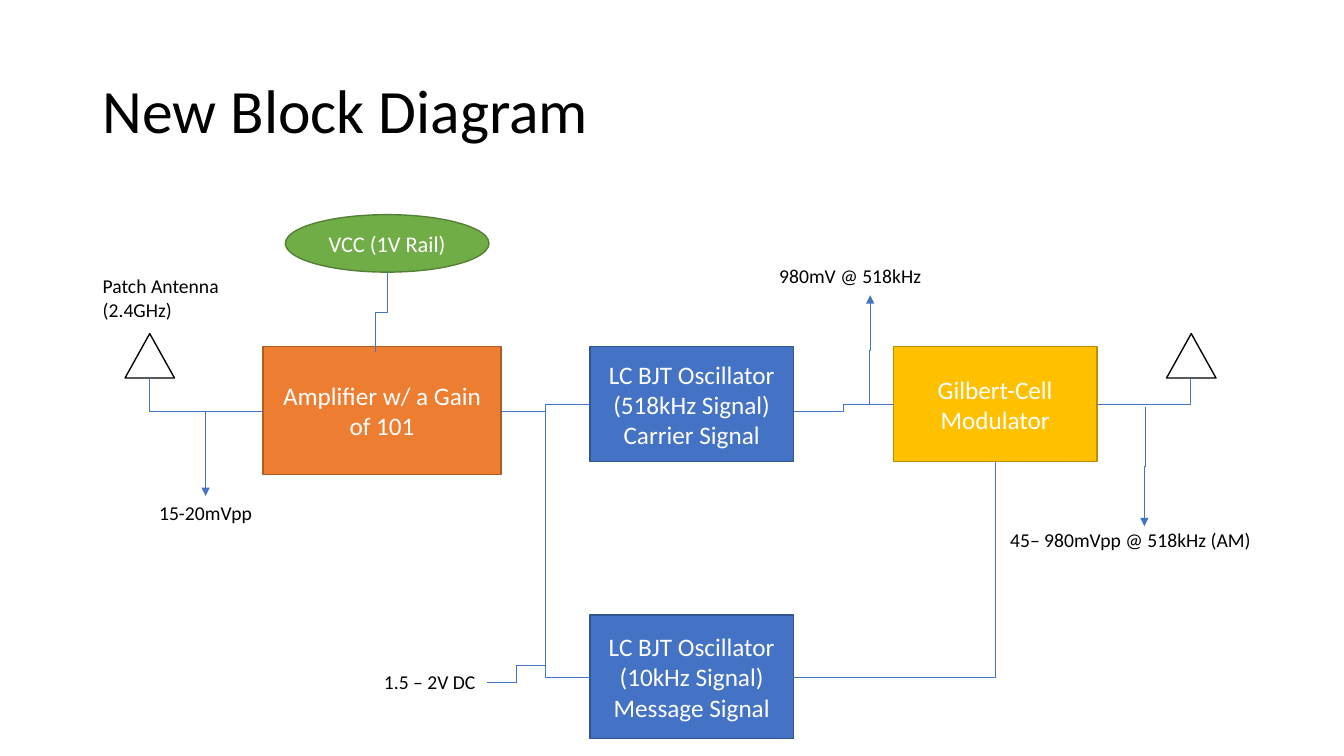
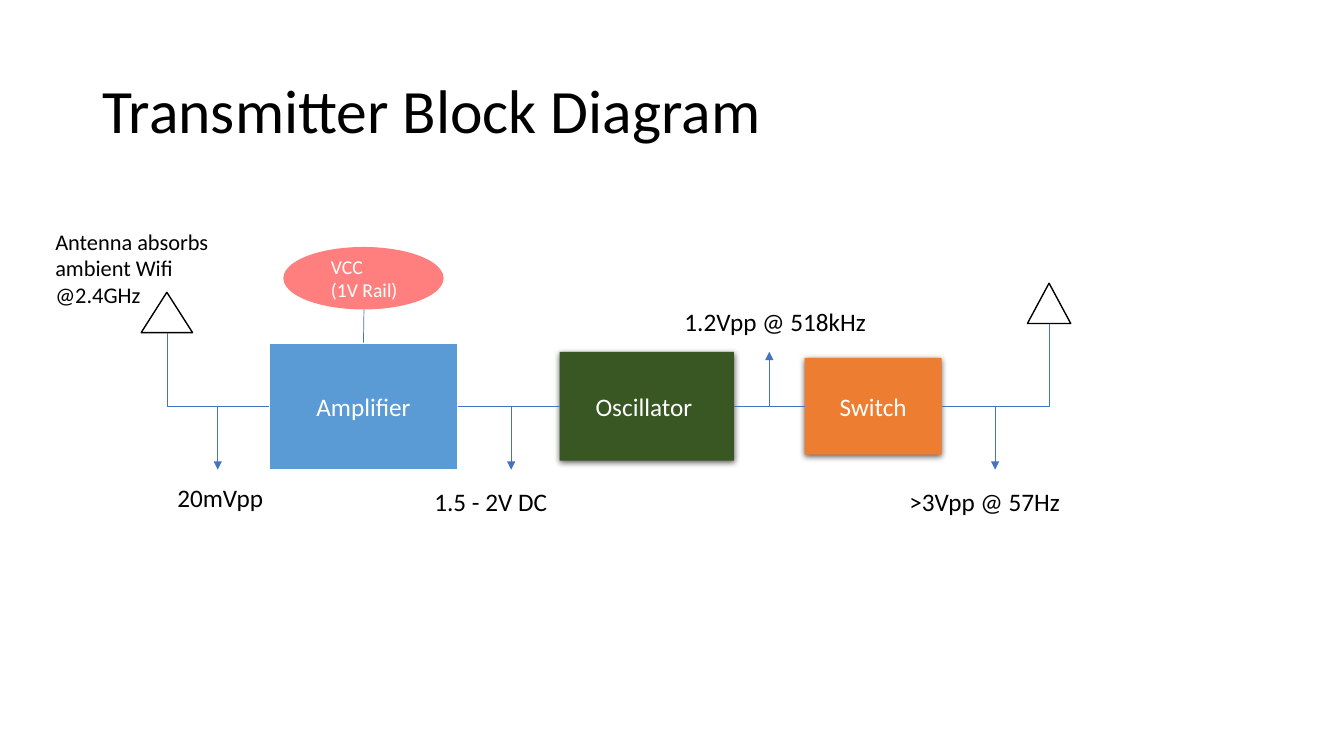
from lxml.etree import SubElement
from pptx import Presentation
from pptx.dml.color import RGBColor
from pptx.enum.shapes import MSO_CONNECTOR, MSO_SHAPE
from pptx.enum.text import MSO_ANCHOR, PP_ALIGN
from pptx.oxml.ns import qn
from pptx.util import Inches, Pt

# Shared look
THEME = {
    "black": "000000", "white": "FFFFFF", "blue": "4472C4", "navy": "325491",
    "orange": "ED7D31", "rust": "AF5C24", "gold": "FFC000", "ochre": "BD8E00",
    "green": "70AD47", "moss": "538035", "sky": "5B9BD5", "pine": "385723",
    "red": "FF0000", "font": "Calibri",
    "title": 44, "large": 18, "mid": 16, "small": 14,
    "edge": 1, "wire": 0.5,
}
TITLE = (0.92, 0.4, 11.5, 1.45)
RECT, OVAL, PEAK = MSO_SHAPE.RECTANGLE, MSO_SHAPE.OVAL, MSO_SHAPE.ISOSCELES_TRIANGLE


def put(slide, at, text="", size="large", form=None, fill=None, edge=None,
        width=THEME["edge"], **frame):
    """Add a filled shape, or a text box when no form is given."""
    spot = [Inches(v) for v in at]
    if form is None:
        shape = slide.shapes.add_textbox(*spot)
        ink, align = "black", PP_ALIGN.LEFT
    else:
        shape = slide.shapes.add_shape(form, *spot)
        shape.shadow.inherit = False
        shape.fill.solid()
        shape.fill.fore_color.rgb = RGBColor.from_string(THEME[fill])
        if edge:
            shape.line.color.rgb = RGBColor.from_string(THEME[edge])
            shape.line.width = Pt(width)
        else:
            shape.line.fill.background()
        ink, align = "white", PP_ALIGN.CENTER
    if not text:
        return shape
    align = frame.pop("align", align)
    body = shape.text_frame
    anchor = MSO_ANCHOR.MIDDLE if form else MSO_ANCHOR.TOP
    for name, value in ({"word_wrap": True, "vertical_anchor": anchor} | frame).items():
        setattr(body, name, value)
    body.text = text
    for para in body.paragraphs:
        para.alignment = align
        font = para.font
        look = {"name": THEME["font"], "size": Pt(THEME[size])}
        for name, value in look.items():
            setattr(font, name, value)
        font.color.rgb = RGBColor.from_string(THEME[ink])
    return shape


def wire(slide, start, end, kind="line", arrow=False):
    """Join two points: line, turn (across, then up or down), step or drop."""
    (x1, y1), (x2, y2) = start, end
    if kind == "drop":  # a step turned by 90 degrees about its centre
        cx, cy = (x1 + x2) / 2, (y1 + y2) / 2
        x1, y1, x2, y2 = cx + y1 - cy, cy - x1 + cx, cx + y2 - cy, cy - x2 + cx
    form = MSO_CONNECTOR.STRAIGHT if kind == "line" else MSO_CONNECTOR.ELBOW
    link = slide.shapes.add_connector(form, *[Inches(v) for v in (x1, y1, x2, y2)])
    link.line.color.rgb = RGBColor.from_string(THEME["blue"])
    link.line.width = Pt(THEME["wire"])
    props = link._element.spPr
    if kind == "turn":
        props.find(qn("a:prstGeom")).set("prst", "bentConnector2")
    if kind == "drop":
        props.find(qn("a:xfrm")).set("rot", "5400000")
    if arrow:
        SubElement(props.find(qn("a:ln")), qn("a:tailEnd"), type="triangle")
    SubElement(props, qn("a:effectLst"))
    return link


deck = Presentation()
deck.slide_width, deck.slide_height = Inches(13.33), Inches(7.5)
pages = []
for title in ("New Block Diagram", "Transmitter Block Diagram"):
    page = deck.slides.add_slide(deck.slide_layouts[6])
    head = put(page, TITLE, title, "title", vertical_anchor=MSO_ANCHOR.MIDDLE)
    head.text_frame.paragraphs[0].line_spacing = 0.9
    pages.append(page)
new, old = pages

# New diagram: blocks, supply and antennas
for at, text, fill, edge in (
    ((2.61, 3.44, 2.36, 1.27), "Amplifier w/ a Gain of 101", "orange", "rust"),
    ((5.85, 3.44, 2.02, 1.14), "LC BJT Oscillator (518kHz Signal)\nCarrier Signal",
     "blue", "navy"),
    ((8.86, 3.44, 2.02, 1.14), "Gilbert-Cell Modulator", "gold", "ochre"),
    ((5.85, 6.1, 2.02, 1.23), "LC BJT Oscillator\n(10kHz Signal)\nMessage Signal",
     "blue", "navy"),
):
    put(new, at, text, form=RECT, fill=fill, edge=edge)
put(new, (2.83, 2.13, 2.02, 0.57), "VCC (1V Rail)", "mid", OVAL, "green", "moss")
for left in (1.24, 11.57):
    put(new, (left, 3.31, 0.49, 0.44), form=PEAK, fill="white", edge="black")

# New diagram: wires
for start, end, kind, arrow in (
    ((2.61, 4.08), (1.48, 3.75), "turn", False),
    ((4.97, 4.08), (5.85, 4.01), "step", False),
    ((7.87, 4.08), (8.86, 4.01), "step", False),
    ((10.88, 4.01), (11.81, 3.75), "turn", False),
    ((3.84, 2.7), (3.72, 3.49), "drop", False),
    ((5.85, 6.72), (5.41, 4.47), "turn", False),
    ((5.41, 4.47), (5.41, 4.08), "line", False),
    ((7.87, 6.72), (9.87, 4.58), "turn", False),
    ((4.83, 6.77), (5.41, 6.6), "step", False),
    ((2.04, 4.08), (2.04, 4.92), "line", True),
    ((8.62, 4.02), (8.63, 2.93), "drop", True),
    ((11.36, 4.04), (11.35, 5.22), "drop", True),
):
    wire(new, start, end, kind, arrow)

# New diagram: labels
for at, text in (
    ((0.92, 2.67, 1.69, 0.57), "Patch Antenna (2.4GHz)"),
    ((1.48, 4.92, 1.13, 0.34), "15-20mVpp"),
    ((3.71, 6.6, 1.13, 0.34), "1.5 – 2V DC"),
    ((7.63, 2.57, 2.02, 0.34), "980mV @ 518kHz"),
    ((9.92, 5.19, 2.85, 0.34), "45– 980mVpp @ 518kHz (AM)"),
):
    put(new, at, text, "small")

# Transmitter: blocks, supply and antennas
amp = put(old, (2.67, 3.4, 1.87, 1.26), "Amplifier", form=RECT, fill="sky",
          edge="white", width=1.5)
osc = put(old, (5.55, 3.49, 1.73, 1.08), "Oscillator ", form=RECT, fill="pine")
switch = put(old, (7.98, 3.55, 1.36, 0.96), "Switch", form=RECT, fill="orange")
for block in (osc, switch):
    glow = SubElement(block._element.spPr.find(qn("a:effectLst")), qn("a:outerShdw"),
                      blurRad=str(Pt(4.5)), dist=str(Pt(1.5)), dir="5400000",
                      algn="ctr", rotWithShape="0")
    tint = SubElement(glow, qn("a:srgbClr"), val=THEME["black"])
    SubElement(tint, qn("a:alpha"), val="63000")
rail = put(old, (2.81, 2.45, 1.59, 0.62), "VCC\n(1V Rail)", "small", OVAL, "red",
           align=PP_ALIGN.LEFT, margin_left=Inches(0.24))
tint = rail._element.spPr.find(qn("a:solidFill")).find(qn("a:srgbClr"))
SubElement(tint, qn("a:alpha"), val="50000")
for at in ((1.4, 2.9, 0.51, 0.4), (10.19, 2.81, 0.43, 0.4)):
    put(old, at, form=PEAK, fill="white", edge="black")

# Transmitter: wires
for left, right in ((amp, osc), (osc, switch)):
    link = wire(old, (4.54, 4.03), (7.98, 4.03))
    link.begin_connect(left, 3)
    link.end_connect(right, 1)
wire(old, (3.61, 3.07), (3.61, 3.4)).end_connect(amp, 0)
wire(old, (2.67, 4.03), (1.66, 3.3), "turn")
wire(old, (9.34, 4.03), (10.41, 3.21), "turn")
for x, end in ((2.16, 4.66), (5.07, 4.66), (7.63, 3.49), (9.87, 4.66)):
    wire(old, (x, 4.04), (x, end), arrow=True)

# Transmitter: labels
put(old, (0.45, 2.21, 1.79, 0.91), "Antenna absorbs ambient Wifi @2.4GHz", "mid")
for at, text in (
    ((1.66, 4.74, 2.69, 0.4), "20mVpp"),
    ((4.21, 4.78, 2.04, 0.4), "1.5 - 2V DC"),
    ((6.69, 2.99, 2.05, 0.4), "1.2Vpp @ 518kHz"),
    ((8.92, 4.78, 2.29, 0.4), ">3Vpp @ 57Hz"),
):
    put(old, at, text)

deck.save("out.pptx")
